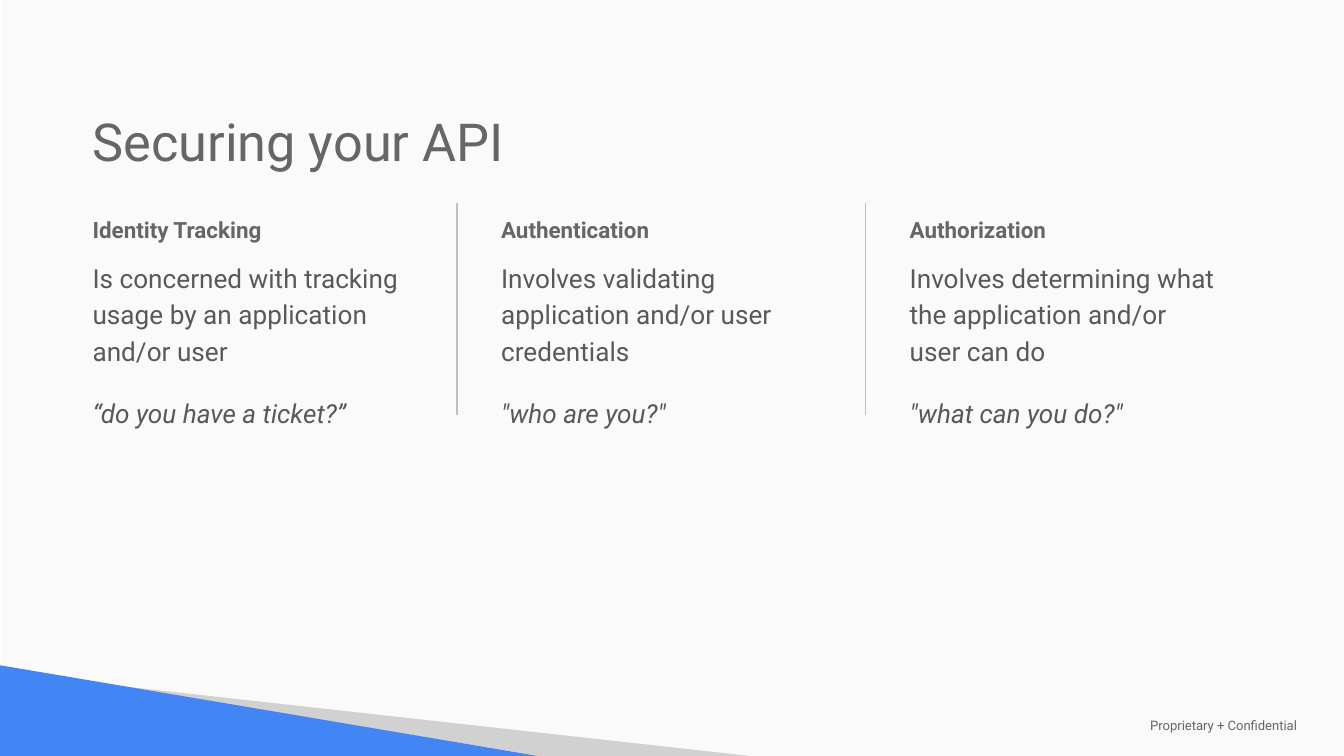
from lxml import etree
from pptx import Presentation
from pptx.dml.color import RGBColor
from pptx.enum import shapes, text
from pptx.oxml.ns import qn
from pptx.util import Inches, Pt

FONT = "Roboto"
PAPER = RGBColor(0xFA, 0xFA, 0xFA)
GREY = RGBColor(0x66, 0x66, 0x66)
BODY_GREY = RGBColor(0x59, 0x59, 0x59)
RULE_GREY = RGBColor(0xBF, 0xBF, 0xBF)
WEDGE_GREY = RGBColor(0xD1, 0xD1, 0xD1)
BLUE = RGBColor(0x42, 0x85, 0xF4)

SLIDE_WIDTH = 10
SLIDE_HEIGHT = SLIDE_WIDTH * 9 / 16
COLUMN_LEFT = 0.59
COLUMN_STEP = 3.04
COLUMNS = [
    ("Identity Tracking",
     "Is concerned with tracking usage by an application and/or user",
     "“do you have a ticket?”"),
    ("Authentication",
     "Involves validating application and/or user credentials",
     "\"who are you?\""),
    ("Authorization",
     "Involves determining what the application and/or user can do",
     "\"what can you do?\""),
]


def write(paragraph, words, size, color=GREY, bold=False, italic=False,
          before=0, after=0, spacing=1.0):
    paragraph.alignment = text.PP_ALIGN.LEFT
    paragraph.space_before = Pt(before)
    paragraph.space_after = Pt(after)
    paragraph.line_spacing = spacing
    run = paragraph.add_run()
    run.text = words
    font = run.font
    font.name, font.size = FONT, Pt(size)
    font.bold, font.italic = bold, italic
    font.color.rgb = color


def prepare_frame(frame, anchor=text.MSO_ANCHOR.TOP):
    frame.word_wrap = True
    frame.auto_size = text.MSO_AUTO_SIZE.NONE
    frame.vertical_anchor = anchor
    frame.margin_left = frame.margin_right = Inches(0.1)
    frame.margin_top = frame.margin_bottom = Inches(0.1)
    return frame


def add_text_frame(slide, left, top, width, height, **options):
    box = slide.shapes.add_textbox(Inches(left), Inches(top),
                                   Inches(width), Inches(height))
    return prepare_frame(box.text_frame, **options)


def paint(shape, color):
    shape.shadow.inherit = False
    shape.fill.solid()
    shape.fill.fore_color.rgb = color
    shape.line.fill.background()


def add_wedge(slide, corners, color):
    points = [(Inches(x), Inches(y)) for x, y in corners]
    builder = slide.shapes.build_freeform(*points[0])
    builder.add_line_segments(points[1:], close=True)
    paint(builder.convert_to_shape(), color)


def add_backdrop(slide):
    paper = slide.shapes.add_shape(
        shapes.MSO_SHAPE.RECTANGLE, Inches(0.01), 0,
        Inches(SLIDE_WIDTH), Inches(SLIDE_HEIGHT))
    paint(paper, PAPER)
    add_wedge(slide, [(0.85, 5.1), (5.58, SLIDE_HEIGHT), (4.01, SLIDE_HEIGHT)],
              WEDGE_GREY)
    add_wedge(slide, [(0, 4.95), (0, 5.63), (4.03, 5.63)], BLUE)
    footer = add_text_frame(slide, 8.46, 5.33, 1.49, 0.14,
                            anchor=text.MSO_ANCHOR.MIDDLE)
    write(footer.paragraphs[0], "Proprietary + Confidential", 7)


def set_title(slide, words):
    title = slide.shapes.title
    # Bring the title in front of the backdrop
    title.element.getparent().append(title.element)
    title.left, title.top = Inches(COLUMN_LEFT), Inches(0.71)
    title.width, title.height = Inches(8.08), Inches(0.72)
    frame = prepare_frame(title.text_frame)
    write(frame.paragraphs[0], words, 28, after=18)


def add_column(slide, left, heading, description, question):
    frame = add_text_frame(slide, left, 1.48, 2.51, 1.98)
    write(frame.paragraphs[0], heading, 12, bold=True, spacing=1.15)
    write(frame.add_paragraph(), description, 14, BODY_GREY,
          before=8, spacing=1.15)
    write(frame.add_paragraph(), question, 14, BODY_GREY, italic=True,
          before=14, spacing=1.15)


def add_divider(slide, x):
    divider = slide.shapes.add_connector(
        shapes.MSO_CONNECTOR.STRAIGHT,
        Inches(x), Inches(1.51), Inches(x), Inches(3.09))
    divider.line.color.rgb = RULE_GREY
    divider.line.width = Pt(0.75)
    etree.SubElement(divider.element.spPr, qn("a:effectLst"))


def main():
    deck = Presentation()
    deck.slide_width = Inches(SLIDE_WIDTH)
    deck.slide_height = Inches(SLIDE_HEIGHT)
    slide = deck.slides.add_slide(deck.slide_layouts[5])
    add_backdrop(slide)
    set_title(slide, "Securing your API")
    for index, column in enumerate(COLUMNS):
        add_column(slide, COLUMN_LEFT + index * COLUMN_STEP, *column)
    for index in range(len(COLUMNS) - 1):
        add_divider(slide, 3.4 + index * COLUMN_STEP)
    deck.save("out.pptx")


if __name__ == "__main__":
    main()
